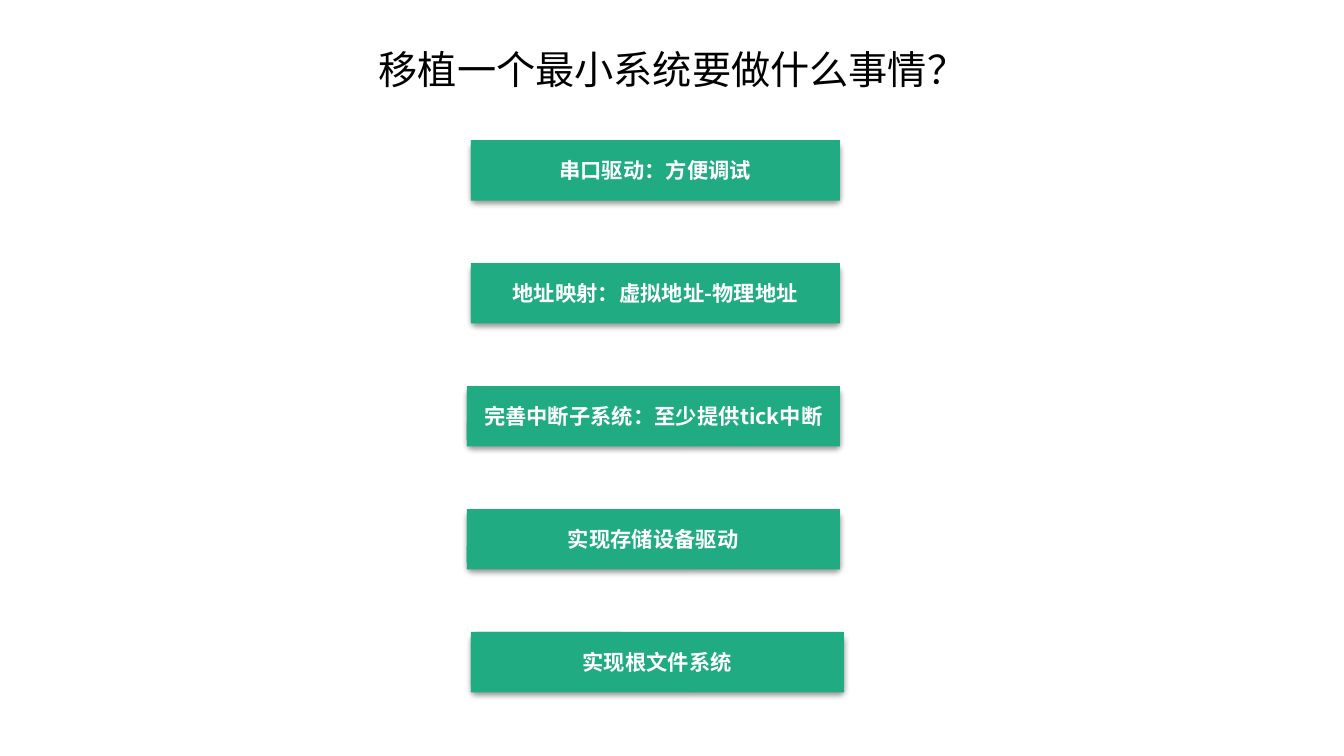
"""Build a slide listing the five steps of porting a minimal system."""
from dataclasses import dataclass

import lxml.etree
import pptx
import pptx.dml.color
import pptx.enum.shapes
import pptx.enum.text
import pptx.oxml.ns
import pptx.util

FONT = "Noto Sans CJK SC"
GREEN, WHITE, BLACK = "21AB82", "FFFFFF", "000000"
SLIDE_WIDTH, SLIDE_HEIGHT = 13.33, 7.5
FIRST_TOP, ROW_PITCH = 1.39, 1.22
BAR_HEIGHT, BACKING_HEIGHT = 0.6, 0.58
INNER_LEFT, OUTER_LEFT = 4.67, 4.63
NARROW, WIDE = 3.66, 3.7


@dataclass
class Step:
    """One bar: its wording, left edge and width in inches."""

    text: str
    left: float
    width: float


STEPS = [
    Step("串口驱动：方便调试", INNER_LEFT, NARROW),
    Step("地址映射：虚拟地址-物理地址", INNER_LEFT, NARROW),
    Step("完善中断子系统：至少提供tick中断", OUTER_LEFT, WIDE),
    Step("实现存储设备驱动", OUTER_LEFT, WIDE),
    Step("实现根文件系统", INNER_LEFT, WIDE),
]


def colour(value: str) -> pptx.dml.color.RGBColor:
    """Turn a hex string into a colour."""
    return pptx.dml.color.RGBColor.from_string(value)


def add_child(parent, tag: str, **attributes: str):
    """Append a DrawingML element to its parent."""
    return lxml.etree.SubElement(parent, pptx.oxml.ns.qn(tag), attributes)


def write(box, text: str, size: float, value: str, bold: bool, wrap: bool) -> None:
    """Write one centred line into a shape."""
    frame = box.text_frame
    frame.word_wrap = wrap
    frame.vertical_anchor = pptx.enum.text.MSO_ANCHOR.MIDDLE
    para = frame.paragraphs[0]
    para.alignment = pptx.enum.text.PP_ALIGN.CENTER
    span = para.add_run()
    span.text = text
    span.font.size = pptx.util.Pt(size)
    span.font.bold = bold
    span.font.color.rgb = colour(value)
    span.font.name = FONT
    add_child(span.font._element, "a:ea", typeface=FONT)


def add_block(group, kind, step: Step, top: float, height: float):
    """Add a plain green block to a group."""
    block = group.shapes.add_shape(
        kind, *map(pptx.util.Inches, (step.left, top, step.width, height))
    )
    block.shadow.inherit = False
    block.fill.solid()
    block.fill.fore_color.rgb = colour(GREEN)
    block.line.fill.background()
    return block


def cast_shadow(block) -> None:
    """Give a block a soft shadow falling straight down."""
    effects = block._element.spPr.find(pptx.oxml.ns.qn("a:effectLst"))
    shadow = add_child(
        effects,
        "a:outerShdw",
        blurRad=str(pptx.util.Pt(4)),
        dist=str(pptx.util.Pt(3)),
        dir="5400000",
        rotWithShape="0",
    )
    tint = add_child(shadow, "a:srgbClr", val=BLACK)
    add_child(tint, "a:alpha", val="40000")


def add_step(page, step: Step, row: int) -> None:
    """Draw one step as a shadowed backing with a labelled bar on it."""
    shapes = pptx.enum.shapes.MSO_SHAPE
    top = FIRST_TOP + row * ROW_PITCH
    group = page.shapes.add_group_shape()
    backing = add_block(group, shapes.ROUNDED_RECTANGLE, step, top, BACKING_HEIGHT)
    backing.adjustments[0] = 0.09
    cast_shadow(backing)
    bar = add_block(group, shapes.RECTANGLE, step, top, BAR_HEIGHT)
    write(bar, step.text, 15.2, WHITE, bold=True, wrap=False)


def add_title(page, text: str) -> None:
    """Place and format the title placeholder."""
    title = page.shapes.title
    title.left, title.top, title.width, title.height = map(
        pptx.util.Inches, (2.52, 0.4, 8.3, 0.57)
    )
    write(title, text, 28, BLACK, bold=False, wrap=True)
    title.text_frame.auto_size = pptx.enum.text.MSO_AUTO_SIZE.SHAPE_TO_FIT_TEXT


def main() -> None:
    """Build and save the deck."""
    deck = pptx.Presentation()
    deck.slide_width = pptx.util.Inches(SLIDE_WIDTH)
    deck.slide_height = pptx.util.Inches(SLIDE_HEIGHT)
    page = deck.slides.add_slide(deck.slide_layouts.get_by_name("Title Only"))
    page.background.fill.solid()
    page.background.fill.fore_color.rgb = colour(WHITE)
    add_title(page, "移植一个最小系统要做什么事情？")
    for row, step in enumerate(STEPS):
        add_step(page, step, row)
    deck.save("out.pptx")


main()
